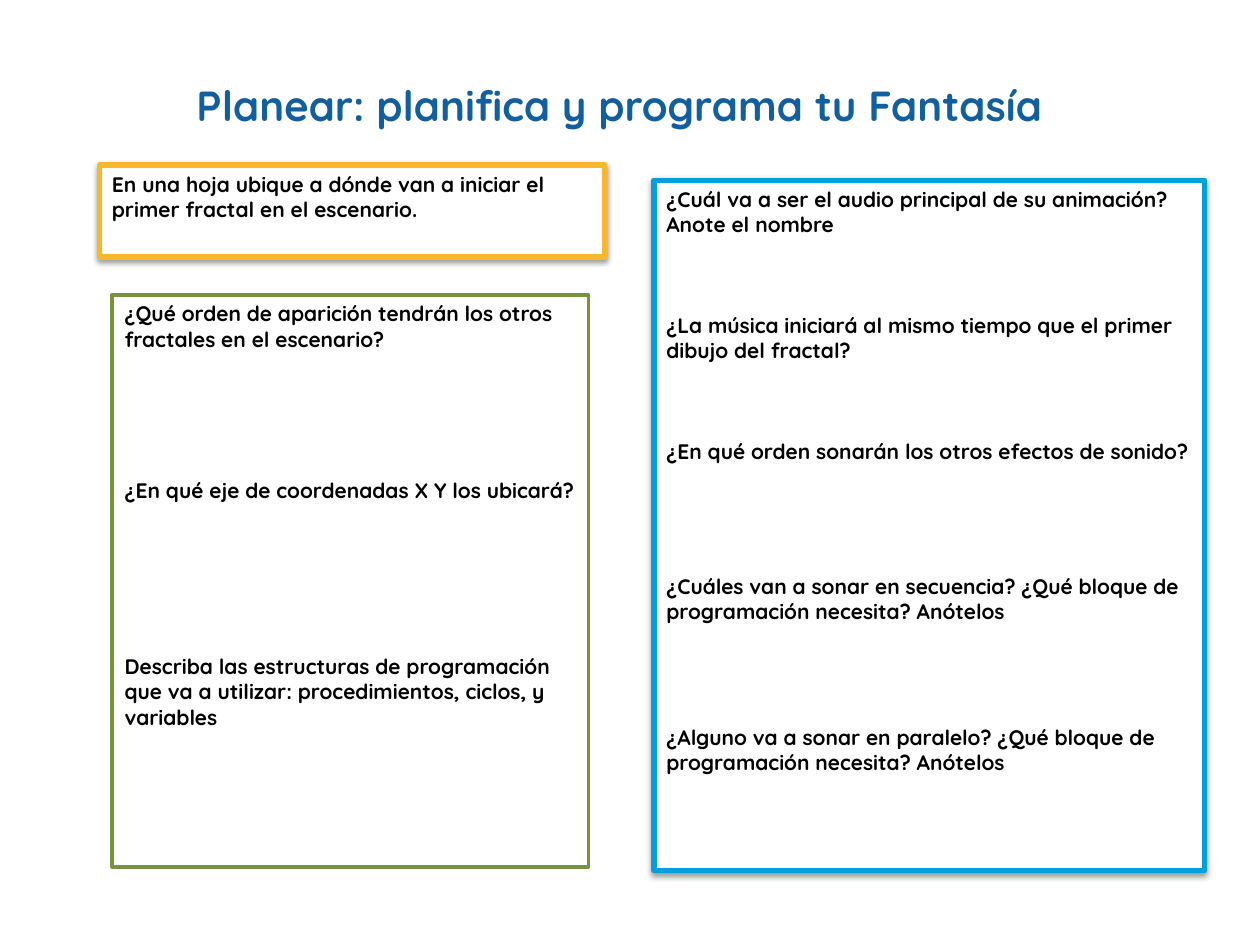
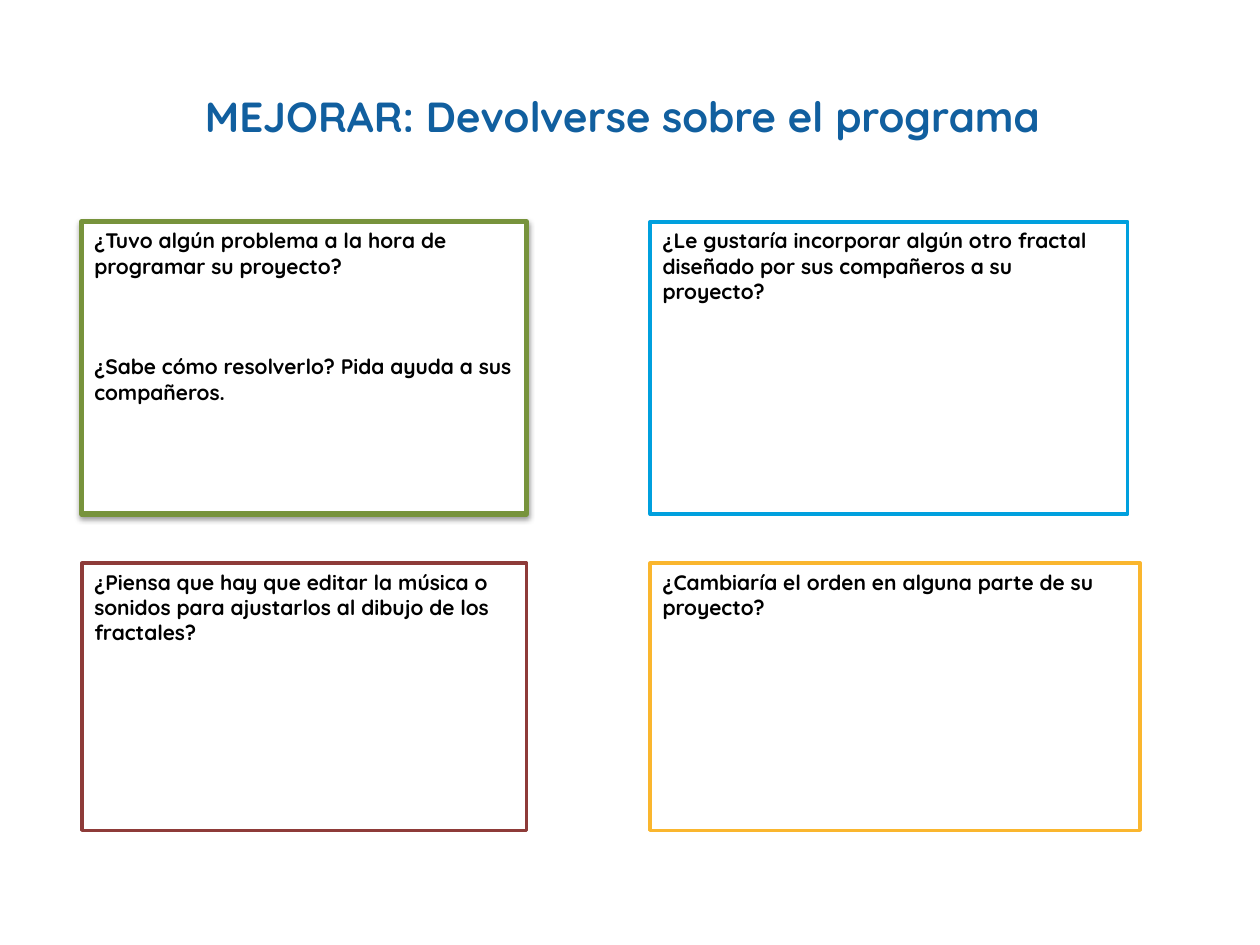
from lxml import etree
from pptx import Presentation
from pptx.dml.color import RGBColor
from pptx.enum.shapes import MSO_SHAPE
from pptx.enum.text import MSO_ANCHOR, PP_ALIGN
from pptx.oxml.ns import qn
from pptx.util import Inches, Pt

RECT = MSO_SHAPE.RECTANGLE
TOP, MIDDLE = MSO_ANCHOR.TOP, MSO_ANCHOR.MIDDLE
LEFT, CENTER = PP_ALIGN.LEFT, PP_ALIGN.CENTER

FONT = "Quicksand"
TITLE_BLUE, BLACK, WHITE = "115F9F", "000000", "FFFFFF"
YELLOW, GREEN, BLUE, RED = "FAB62E", "77933C", "00A0DE", "8E3B39"
BLANK_LINE = 14.4
THICK, THIN = 3, 2


def rgb(value):
    return RGBColor.from_string(value)


def style(p, size, color, align):
    p.alignment = align
    p.font.name = FONT
    p.font.size = Pt(size)
    p.font.bold = True
    p.font.color.rgb = rgb(color)


def add_shadow(sp):
    effects = sp._element.spPr.find(qn("a:effectLst"))
    shadow = etree.SubElement(effects, qn("a:outerShdw"), blurRad=str(Pt(3.1)),
                              dist=str(Pt(1.6)), dir="5400000", rotWithShape="0")
    color = etree.SubElement(shadow, qn("a:srgbClr"), val=BLACK)
    etree.SubElement(color, qn("a:alpha"), val="38000")


def add_title(s, text, x, y, w):
    tf = s.shapes.add_textbox(Inches(x), Inches(y), Inches(w), Inches(0.57)).text_frame
    tf.word_wrap = True
    tf.vertical_anchor = MIDDLE
    p = tf.paragraphs[0]
    p.text = text
    style(p, 24, TITLE_BLUE, CENTER)


def add_question_box(s, x, y, w, h, color, questions, weight=THIN):
    """Each question is (blank lines left above it for the answer, text)."""
    sp = s.shapes.add_shape(RECT, Inches(x), Inches(y), Inches(w), Inches(h))
    sp.shadow.inherit = False
    sp.fill.solid()
    sp.fill.fore_color.rgb = rgb(WHITE)
    sp.line.color.rgb = rgb(color)
    sp.line.width = Pt(weight)
    if weight == THICK:
        add_shadow(sp)
    tf = sp.text_frame
    tf.word_wrap = True
    tf.vertical_anchor = TOP
    for i, (gap, text) in enumerate(questions):
        p = tf.add_paragraph() if i else tf.paragraphs[0]
        p.text = text
        p.space_before = Pt(gap * BLANK_LINE)
        style(p, 12, BLACK, LEFT)


def build_plan(s):
    add_title(s, "Planear: planifica y programa tu Fantasía", 1.42, 0.55, 6.99)
    add_question_box(s, 0.79, 1.31, 4.01, 0.73, YELLOW, [
        (0, "En una hoja ubique a dónde van a iniciar el primer fractal en el escenario."),
    ], THICK)
    add_question_box(s, 0.89, 2.34, 3.78, 4.54, GREEN, [
        (0, "¿Qué orden de aparición tendrán los otros fractales en el escenario?"),
        (5, "¿En qué eje de coordenadas X Y los ubicará?"),
        (6, "Describa las estructuras de programación que va a utilizar: "
            "procedimientos, ciclos, y variables"),
    ])
    add_question_box(s, 5.19, 1.43, 4.37, 5.48, BLUE, [
        (0, "¿Cuál va a ser el audio principal de su animación? Anote el nombre"),
        (3, "¿La música iniciará al mismo tiempo que el primer dibujo del fractal?"),
        (3, "¿En qué orden sonarán los otros efectos de sonido?"),
        (4.35, "¿Cuáles van a sonar en secuencia? ¿Qué bloque de programación "
               "necesita? Anótelos"),
        (4, "¿Alguno va a sonar en paralelo? ¿Qué bloque de programación "
            "necesita? Anótelos"),
    ], THICK)


def build_improve(s):
    left, right = 0.65, 5.16
    upper, lower = 1.76, 4.47
    upper_h, lower_h = 2.32, 2.12
    add_title(s, "MEJORAR: Devolverse sobre el programa", 0.44, 0.63, 9)
    add_question_box(s, left, upper, 3.53, upper_h, GREEN, [
        (0, "¿Tuvo algún problema a la hora de programar su proyecto?"),
        (3, "¿Sabe cómo resolverlo? Pida ayuda a sus compañeros."),
    ], THICK)
    add_question_box(s, right, upper, 3.79, upper_h, BLUE, [
        (0, "¿Le gustaría incorporar algún otro fractal diseñado por sus "
            "compañeros a su proyecto?"),
    ])
    add_question_box(s, left, lower, 3.53, lower_h, RED, [
        (0, "¿Piensa que hay que editar la música o sonidos para ajustarlos "
            "al dibujo de los fractales?"),
    ])
    add_question_box(s, right, lower, 3.89, lower_h, YELLOW, [
        (0, "¿Cambiaría el orden en alguna parte de su proyecto?"),
    ])


def main():
    prs = Presentation()
    prs.slide_width, prs.slide_height = Inches(10), Inches(7.5)
    blank = prs.slide_layouts[6]
    for build in (build_plan, build_improve):
        build(prs.slides.add_slide(blank))
    prs.save("out.pptx")


if __name__ == "__main__":
    main()
